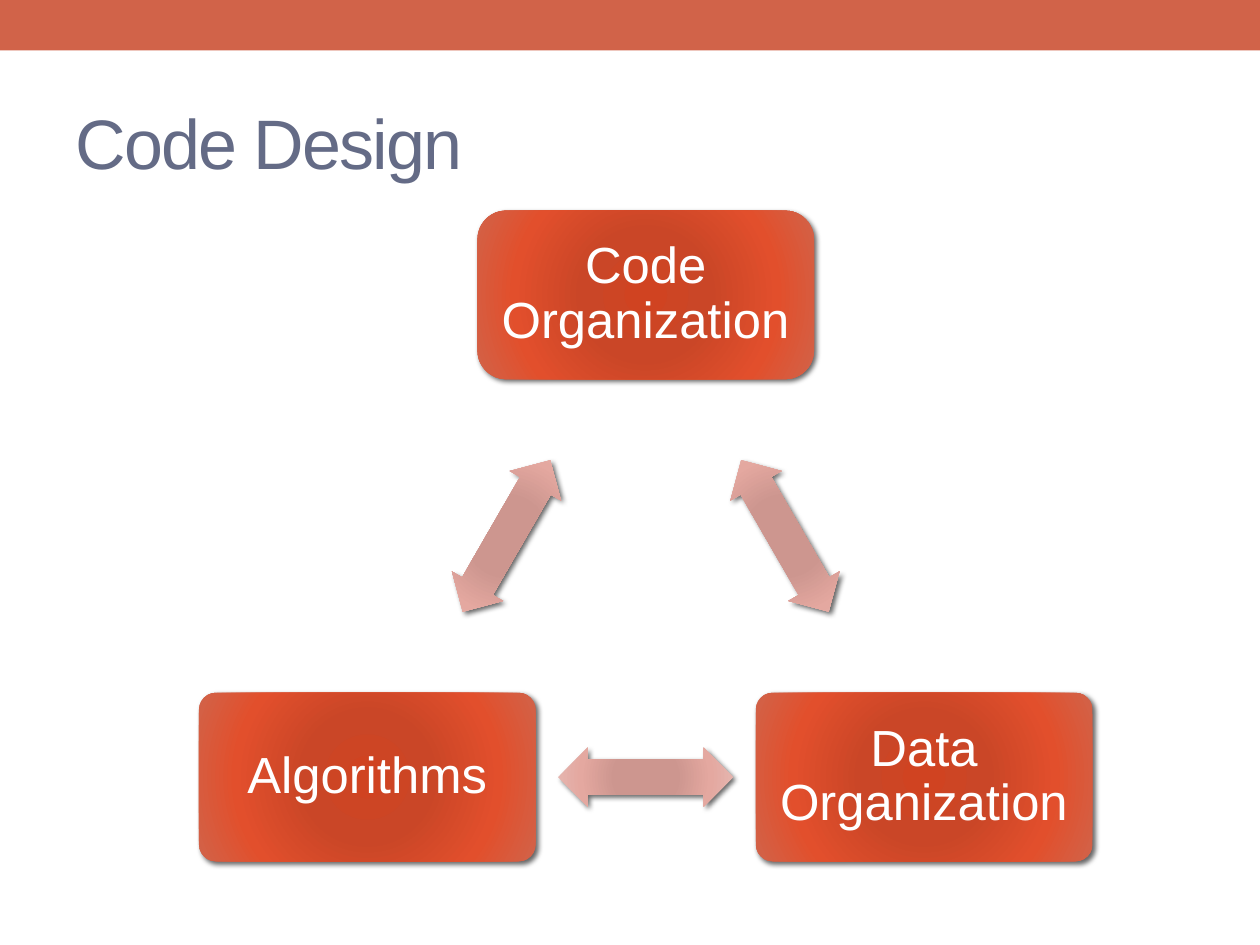
from math import cos, radians, sin

from lxml import etree
from pptx import Presentation
from pptx.dml.color import RGBColor
from pptx.enum.shapes import MSO_SHAPE
from pptx.enum.text import MSO_ANCHOR, PP_ALIGN
from pptx.oxml.ns import qn
from pptx.util import Pt

RECTANGLE = MSO_SHAPE.RECTANGLE
ROUNDED = MSO_SHAPE.ROUNDED_RECTANGLE
DOUBLE_ARROW = MSO_SHAPE.LEFT_RIGHT_ARROW
MIDDLE = MSO_ANCHOR.MIDDLE
CENTER = PP_ALIGN.CENTER

BAR_COLOR = RGBColor(0xD1, 0x63, 0x49)
TITLE_COLOR = RGBColor(0x64, 0x6B, 0x86)
LABEL_COLOR = RGBColor(0xFF, 0xFF, 0xFF)
SHADOW_COLOR = RGBColor(0x00, 0x00, 0x00)
TOPIC_COLORS = (
    RGBColor(0xD0, 0x43, 0x21), RGBColor(0xCA, 0x46, 0x27),
    RGBColor(0xE2, 0x4F, 0x2C), BAR_COLOR,
)
ARROW_COLORS = (
    RGBColor(0xCF, 0x95, 0x8D), RGBColor(0xCD, 0x96, 0x8F),
    RGBColor(0xE4, 0xA8, 0xA0), RGBColor(0xE5, 0xB7, 0xB1),
)
STOPS = (0, 34, 70, 100)

CYCLE_X, CYCLE_Y, RADIUS = 369, 352.2, 183.7
TOPIC_SIZE = (192.4, 96.3)
ARROW_SIZE = (100, 33.8)
TOPICS = (
    ("Code Organization", 0.17),
    ("Data Organization", 0.1),
    ("Algorithms", 0.1),
)

TITLE_FRAME = {"word_wrap": True, "vertical_anchor": MIDDLE}
TOPIC_FRAME = TITLE_FRAME | dict.fromkeys(
    ("margin_left", "margin_top", "margin_right", "margin_bottom"), Pt(8.5))
TITLE_FONT = {"name": "Arial", "size": Pt(40)}
TOPIC_FONT = {"name": "Arial", "size": Pt(29)}
TOPIC_PARAGRAPH = {"alignment": CENTER, "line_spacing": 0.9}


def apply(target, values):
    for name, value in values.items():
        setattr(target, name, value)


def add_element(parent, tag, **attributes):
    return etree.SubElement(parent, qn(tag), attributes)


def write_text(frame, text, frame_format, font_format, color):
    apply(frame, frame_format)
    paragraph = frame.paragraphs[0]
    run = paragraph.add_run()
    run.text = text
    apply(run.font, font_format)
    run.font.color.rgb = color
    return paragraph


def add_bar(slide):
    bar = slide.shapes.add_shape(RECTANGLE, 0, 0, Pt(720), Pt(28.8))
    bar.shadow.inherit = False
    bar.fill.solid()
    bar.fill.fore_color.rgb = BAR_COLOR
    bar.line.fill.background()


def add_title(slide, text):
    title = slide.shapes.add_textbox(Pt(36), Pt(42), Pt(648), Pt(78))
    paragraph = write_text(
        title.text_frame, text, TITLE_FRAME, TITLE_FONT, TITLE_COLOR)
    paragraph.runs[0].font._element.set("spc", "-100")


def fill_radially(shape, colors):
    shape.fill.gradient()
    gradient = shape._element.spPr.find(qn("a:gradFill"))
    for child in list(gradient):
        gradient.remove(child)
    stops = add_element(gradient, "a:gsLst")
    for position, color in zip(STOPS, colors):
        stop = add_element(stops, "a:gs", pos=str(position * 1000))
        add_element(stop, "a:srgbClr", val=str(color))
    circle = add_element(gradient, "a:path", path="circle")
    add_element(circle, "a:fillToRect",
                **dict.fromkeys(("l", "t", "r", "b"), "100000"))


def add_shadow(shape):
    shape.shadow.inherit = False
    effects = shape._element.spPr.find(qn("a:effectLst"))
    shadow = add_element(
        effects, "a:outerShdw", blurRad=str(Pt(3)), dist=str(Pt(2)),
        dir="2700000", algn="tl", rotWithShape="0")
    color = add_element(shadow, "a:srgbClr", val=str(SHADOW_COLOR))
    add_element(color, "a:alpha", val="60000")


def add_cycle_shape(slide, kind, angle, distance, size, colors, adjustments):
    width, height = size
    left = CYCLE_X + distance * sin(radians(angle)) - width / 2
    top = CYCLE_Y - distance * cos(radians(angle)) - height / 2
    shape = slide.shapes.add_shape(
        kind, Pt(left), Pt(top), Pt(width), Pt(height))
    for index, value in enumerate(adjustments):
        shape.adjustments[index] = value
    fill_radially(shape, colors)
    shape.line.fill.background()
    add_shadow(shape)
    return shape


def add_topic(slide, angle, text, rounding):
    topic = add_cycle_shape(
        slide, ROUNDED, angle, RADIUS, TOPIC_SIZE, TOPIC_COLORS, (rounding,))
    paragraph = write_text(
        topic.text_frame, text, TOPIC_FRAME, TOPIC_FONT, LABEL_COLOR)
    apply(paragraph, TOPIC_PARAGRAPH)


def add_arrow(slide, angle):
    arrow = add_cycle_shape(
        slide, DOUBLE_ARROW, angle, RADIUS / 2, ARROW_SIZE, ARROW_COLORS,
        (0.6, 0.5))
    arrow.rotation = angle


def main():
    presentation = Presentation()
    presentation.slide_width, presentation.slide_height = Pt(720), Pt(540)
    slide = presentation.slides.add_slide(presentation.slide_layouts[6])
    add_bar(slide)
    add_title(slide, "Code Design")
    step = 360 / len(TOPICS)
    for index, (text, rounding) in enumerate(TOPICS):
        add_topic(slide, index * step, text, rounding)
        add_arrow(slide, (index + 0.5) * step)
    presentation.save("out.pptx")


if __name__ == "__main__":
    main()
